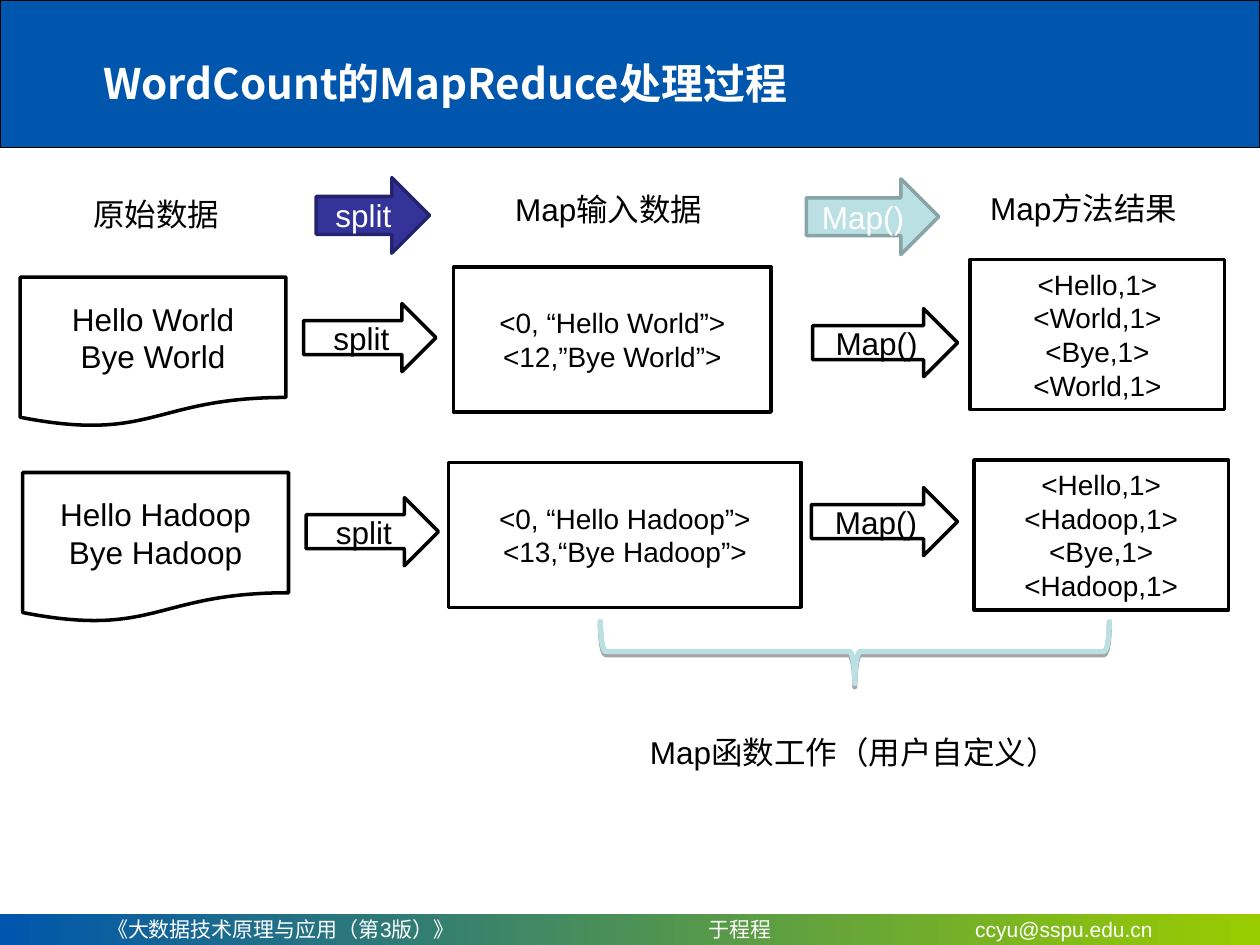
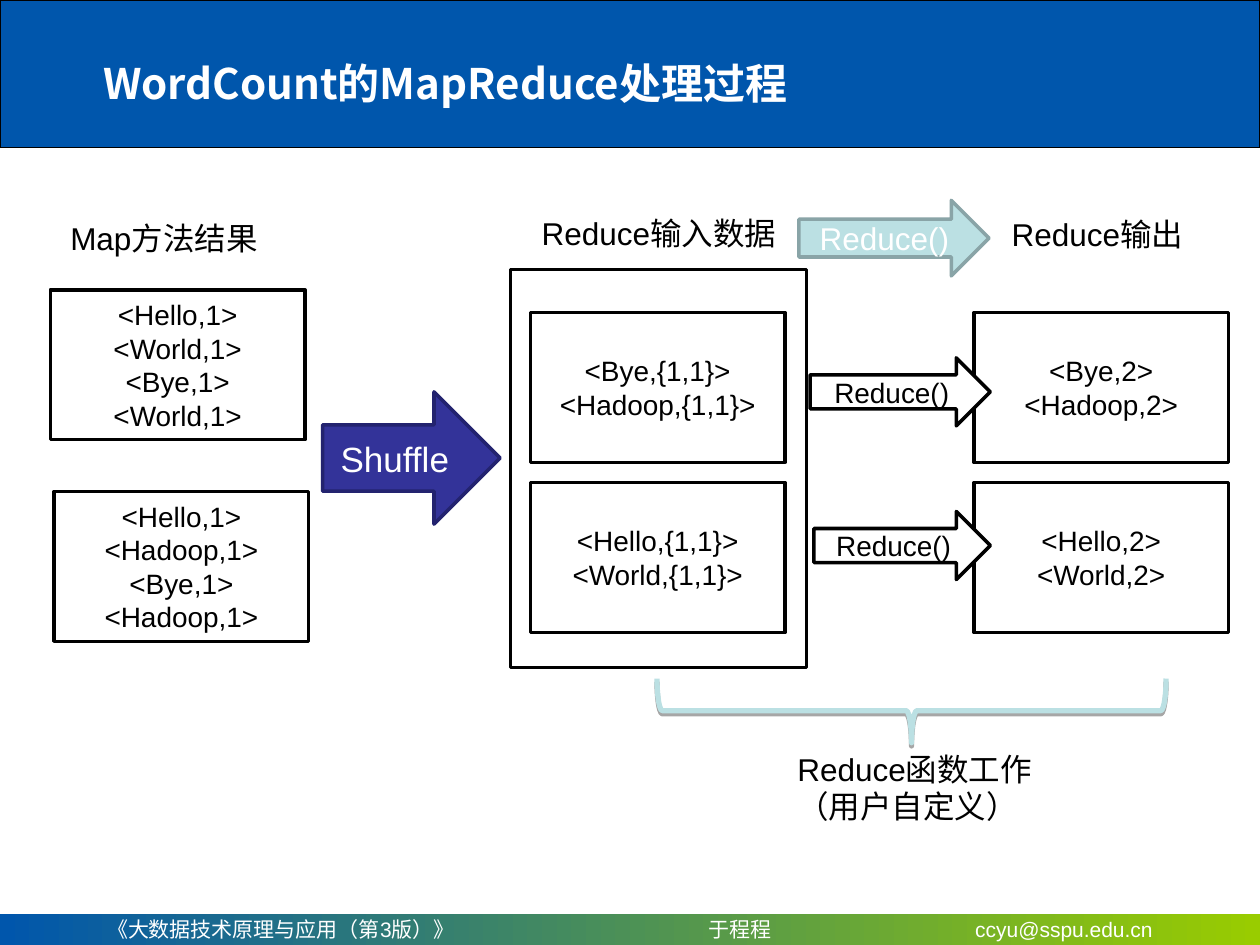
from lxml import etree
from pptx import Presentation
from pptx.dml.color import RGBColor
from pptx.enum.shapes import MSO_SHAPE
from pptx.enum.text import MSO_ANCHOR, PP_ALIGN
from pptx.oxml.ns import qn
from pptx.util import Pt

PX = 9144
RECT = MSO_SHAPE.RECTANGLE
ARROW = MSO_SHAPE.RIGHT_ARROW
PAGE = MSO_SHAPE.FLOWCHART_DOCUMENT
BRACE = MSO_SHAPE.LEFT_BRACE
MIDDLE = MSO_ANCHOR.MIDDLE
LEFT = PP_ALIGN.LEFT
CENTER = PP_ALIGN.CENTER

WHITE = RGBColor(0xFF, 0xFF, 0xFF)
BLACK = RGBColor(0, 0, 0)
BLUE = RGBColor(0x00, 0x56, 0xAC)
GREEN = RGBColor(0x99, 0xCC, 0x00)
NAVY = RGBColor(0x33, 0x33, 0x99)
DARK = RGBColor(0x23, 0x23, 0x6F)
TEAL = RGBColor(0xBB, 0xE0, 0xE3)
GRAY = RGBColor(0x89, 0xA4, 0xA7)
PLAIN = (WHITE, BLACK, BLACK)
SPLIT = (NAVY, DARK, WHITE)
CALL = (TEAL, GRAY, WHITE)

SANS = "Arial"
CJK = "Noto Sans CJK SC"
TITLE = "WordCount的MapReduce处理过程"
FOOTER = "《大数据技术原理与应用（第3版）》\t于程程\tccyu@sspu.edu.cn"
HELLO = "<Hello,1>\n<World,1>\n<Bye,1>\n<World,1>"
HADOOP = "<Hello,1>\n<Hadoop,1>\n<Bye,1>\n<Hadoop,1>"

SLIDES = [
    {
        "labels": [
            (64, 150, 140, 40, "原始数据"),
            (399, 146, 194, 40, "Map输入数据"),
            (776, 145, 194, 40, "Map方法结果"),
            (506, 577, 375, 40, "Map函数工作（用户自定义）"),
        ],
        "nodes": [
            (ARROW, 251, 141, 90, 60, "split", 18, SPLIT),
            (ARROW, 640, 142, 105, 60, "Map()", 18, CALL),
            (PAGE, 16, 220, 211, 119, "Hello World\nBye World", 18, PLAIN),
            (PAGE, 18, 375, 211, 119, "Hello Hadoop\nBye Hadoop", 18, PLAIN),
            (ARROW, 241, 241, 105, 54, "split", 18, PLAIN),
            (ARROW, 243, 395, 105, 54, "split", 18, PLAIN),
            (RECT, 360, 212, 252, 115, "<0, “Hello World”>\n<12,”Bye World”>", 16, PLAIN),
            (RECT, 356, 367, 280, 115, "<0, “Hello Hadoop”>\n<13,“Bye Hadoop”>", 16, PLAIN),
            (RECT, 770, 206, 202, 119, HELLO, 16, PLAIN),
            (RECT, 773, 365, 202, 119, HADOOP, 16, PLAIN),
            (ARROW, 645, 245, 115, 54, "Map()", 18, PLAIN),
            (ARROW, 644, 387, 116, 54, "Map()", 18, PLAIN),
        ],
        "brace": (653, 315),
    },
    {
        "labels": [
            (46, 169, 194, 40, "Map方法结果"),
            (420, 165, 232, 40, "Reduce输入数据"),
            (793, 166, 182, 40, "Reduce输出"),
            (623, 590, 224, 70, "Reduce函数工作\n（用户自定义）"),
        ],
        "nodes": [
            (RECT, 405, 214, 235, 316, "", 16, PLAIN),
            (RECT, 40, 230, 202, 119, HELLO, 16, PLAIN),
            (RECT, 43, 390, 202, 119, HADOOP, 16, PLAIN),
            (ARROW, 256, 311, 141, 105, "Shuffle", 20, SPLIT),
            (RECT, 421, 248, 202, 119, "<Bye,{1,1}>\n<Hadoop,{1,1}>", 16, PLAIN),
            (RECT, 421, 383, 202, 119, "<Hello,{1,1}>\n<World,{1,1}>", 16, PLAIN),
            (ARROW, 634, 159, 151, 60, "Reduce()", 18, CALL),
            (RECT, 773, 248, 202, 119, "<Bye,2>\n<Hadoop,2>", 16, PLAIN),
            (RECT, 773, 383, 202, 119, "<Hello,2>\n<World,2>", 16, PLAIN),
            (ARROW, 643, 284, 143, 54, "Reduce()", 16, PLAIN),
            (ARROW, 646, 406, 140, 54, "Reduce()", 16, PLAIN),
        ],
        "brace": (698, 362),
    },
]


def write(frame, text, size, color, align=LEFT, face=SANS, bold=False, tabs=()):
    frame.word_wrap = True
    frame.text = text
    for para in frame.paragraphs:
        para.alignment = align
        if tabs:
            stops = etree.SubElement(para._p.get_or_add_pPr(), qn("a:tabLst"))
            for pos in tabs:
                etree.SubElement(stops, qn("a:tab"), pos=str(pos * PX), algn="l")
        font = para.font
        font.size = Pt(size)
        font.bold = bold
        font.color.rgb = color
        font.name = face
        props = para._p.pPr.find(qn("a:defRPr"))
        etree.SubElement(props, qn("a:ea"), typeface=CJK)


def draw(shapes, kind, box, fill, edge, width):
    shape = shapes.add_shape(kind, *[n * PX for n in box])
    shape.shadow.inherit = False
    if fill is None:
        shape.fill.background()
    else:
        shape.fill.solid()
        shape.fill.fore_color.rgb = fill
    if edge is None:
        shape.line.fill.background()
    else:
        shape.line.color.rgb = edge
        shape.line.width = Pt(width)
    return shape


deck = Presentation()
deck.slide_width = 1000 * PX
deck.slide_height = 750 * PX

for plan in SLIDES:
    shapes = deck.slides.add_slide(deck.slide_layouts[6]).shapes

    draw(shapes, RECT, (0, 0, 1000, 117), BLUE, BLACK, 0.75)
    bar = draw(shapes, RECT, (0, 725, 1000, 25), BLUE, None, 0)
    bar.fill.gradient()
    bar.fill.gradient_angle = 0
    for stop, color in zip(bar.fill.gradient_stops, (BLUE, GREEN)):
        stop.color.rgb = color
    foot = bar.text_frame
    foot.margin_left = 85 * PX
    foot.vertical_anchor = MIDDLE
    write(foot, FOOTER, 12, WHITE, tabs=(477, 689))

    head = shapes.add_textbox(72 * PX, 41 * PX, 640 * PX, 50 * PX)
    write(head.text_frame, TITLE, 24, WHITE, face=CJK, bold=True)

    for kind, *box, text, size, (fill, edge, ink) in plan["nodes"]:
        node = draw(shapes, kind, box, fill, edge, 2)
        if text:
            node.text_frame.vertical_anchor = MIDDLE
            write(node.text_frame, text, size, ink, CENTER)

    for *box, text in plan["labels"]:
        label = shapes.add_textbox(*[n * PX for n in box])
        write(label.text_frame, text, 18, BLACK)

    brace = draw(shapes, BRACE, (*plan["brace"], 51, 404), None, TEAL, 3)
    brace.rotation = 270
    glow = brace._element.spPr.find(qn("a:effectLst"))
    shade = etree.SubElement(glow, qn("a:outerShdw"), blurRad="0", dist=str(Pt(1.8)),
                             dir="5400000", rotWithShape="0")
    tint = etree.SubElement(shade, qn("a:srgbClr"), val=str(BLACK))
    etree.SubElement(tint, qn("a:alpha"), val="35000")

deck.save("out.pptx")
